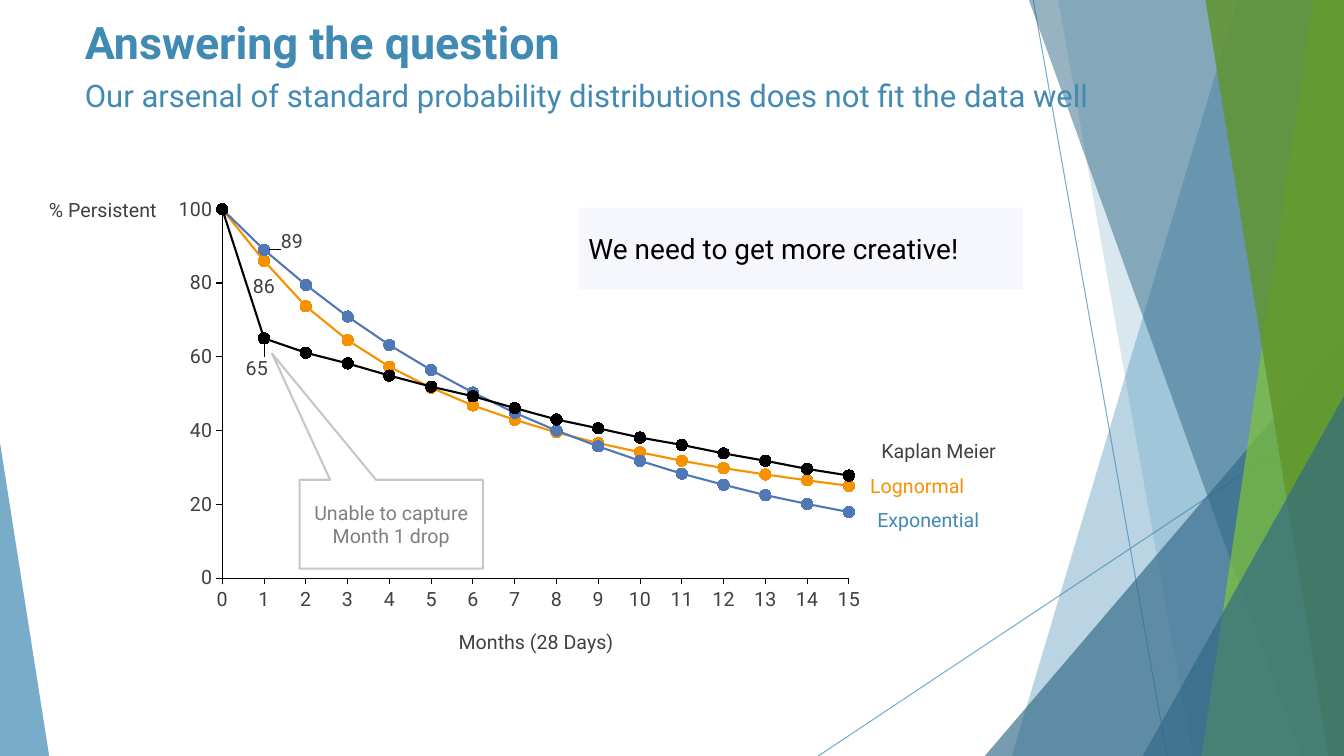
import pptx
import pptx.chart.data
import pptx.dml.color
import pptx.enum.chart
import pptx.enum.shapes
import pptx.enum.text
import pptx.oxml
import pptx.oxml.ns
import pptx.util

Cm, Pt = pptx.util.Cm, pptx.util.Pt
Form = pptx.enum.shapes.MSO_SHAPE
Align = pptx.enum.text.PP_ALIGN
Anchor = pptx.enum.text.MSO_ANCHOR
Place = pptx.enum.chart.XL_LABEL_POSITION
qn = pptx.oxml.ns.qn
WIDE, HIGH = 33.87, 19.05
FONT = "Roboto"
HUES = {
    "sky": "418AB3", "deep": "316886", "lime": "80C535", "leaf": "609428",
    "pale": "F6F7FC", "ink": "000000", "text": "404040", "mute": "808080",
    "edge": "C7C7C7", "blue": "5078B4", "gold": "F69200",
}
CURVES = [  # name, hue, values by month, label place, label shift
    ("Kaplan Meier", "ink", [100, 65, 61.1, 58.2, 54.9, 51.9, 49.3, 46.1, 43,
                             40.6, 38.1, 36.1, 33.8, 31.8, 29.6, 27.8],
     Place.BELOW, (-0.01, 0.02)),
    ("Exponential", "blue", [100, 89, 79.5, 70.9, 63.2, 56.4, 50.3, 44.8, 40,
                             35.7, 31.8, 28.3, 25.3, 22.5, 20.1, 17.9],
     Place.RIGHT, (0.01, -0.02)),
    ("Lognormal", "gold", [100, 86, 73.7, 64.5, 57.3, 51.6, 46.8, 42.9, 39.5,
                           36.6, 34.1, 31.8, 29.8, 28.1, 26.5, 25],
     Place.BELOW, (0, 0.01)),
]


def rgb(hue):
    return pptx.dml.color.RGBColor.from_string(HUES[hue])


def put(item, form):
    for key, value in form.items():
        setattr(item, key, value)


def ink(font, size, hue, bold=False):
    put(font, {"name": FONT, "size": Pt(size), "bold": bold})
    font.color.rgb = rgb(hue)


def tint(fill, hue):
    fill.solid()
    fill.fore_color.rgb = rgb(hue)


def rule(line, hue, width):
    tint(line.fill, hue)
    line.width = Pt(width)


def fade(shape, share):
    """Set the opacity, in percent, of the one colour a shape has."""
    node = shape._element.spPr.find(".//" + qn("a:srgbClr"))
    node.append(node.makeelement(qn("a:alpha"), {"val": str(share * 1000)}))


def write(shape, text, size, hue, bold=False, align=Align.LEFT, **form):
    frame = shape.text_frame
    put(frame, {"word_wrap": True, **form})
    para = frame.paragraphs[0]
    put(para, {"text": text, "alignment": align})
    ink(para.runs[0].font, size, hue, bold)
    return para


def label(slide, box, text, hue, align):
    flat = dict.fromkeys(("margin_left", "margin_top", "margin_right",
                          "margin_bottom"), 0)
    area = slide.shapes.add_textbox(*map(Cm, box))
    write(area, text, 14, hue, align=align, word_wrap=False, **flat)


def block(slide, form, box, adjust):
    shape = slide.shapes.add_shape(form, *map(Cm, box))
    shape.shadow.inherit = False
    for spot, value in enumerate(adjust):
        shape.adjustments[spot] = value
    return shape


def facets(slide, box):
    """Draw the see-through shards along both sides of the box."""
    left, top, wide, high = box
    right, base = left + wide, top + high
    for x1, y1, x2, y2 in ((26.04, 0, 29.41, high), (wide, 10.24, 20.62, high)):
        line = slide.shapes.add_connector(
            pptx.enum.shapes.MSO_CONNECTOR.STRAIGHT,
            Cm(left + x1), Cm(top + y1), Cm(left + x2), Cm(top + y2))
        rule(line.line, "sky", 0.75)
        fade(line, 70)
        props = line._element.spPr
        props.append(props.makeelement(qn("a:effectLst"), {}))

    def shard(upper, lower, hue, share):
        build = slide.shapes.build_freeform(Cm(left + upper), Cm(top))
        build.add_line_segments([(Cm(right), Cm(top)), (Cm(right), Cm(base)),
                                 (Cm(left + lower), Cm(base))])
        finish(build.convert_to_shape(), hue, share)

    def wedge(start, end, peak, apex, hue, share):
        area = (left + start, top + peak, end - start, high - peak)
        finish(block(slide, Form.ISOSCELES_TRIANGLE, area, [apex]), hue, share)

    def finish(shape, hue, share):
        shape.shadow.inherit = False
        tint(shape.fill, hue)
        fade(shape, share)
        shape.line.fill.background()

    shard(31.19, 25.5, "sky", 36)
    shard(26.67, 30.05, "sky", 20)
    wedge(24.82, wide, 8.46, 1, "deep", 66)
    shard(25.93, 32.79, "deep", 50)
    shard(33.1, 30.28, "lime", 70)
    shard(30.38, 33.48, "leaf", 80)
    wedge(28.8, wide, 9.98, 1, "deep", 66)
    wedge(0, 1.24, 11.15, 0, "sky", 70)


def heading(slide, box):
    left, top, wide, high = box
    title = slide.shapes.add_textbox(*map(Cm, (left, top, wide, 2.06)))
    write(title, "Answering the question", 32, "sky", True)
    under = slide.shapes.add_textbox(
        *map(Cm, (left, top + 1.73, 26.11, high - 1.73)))
    para = write(under, "Our arsenal of standard probability distributions "
                 "does not fit the data well", 22.2, "sky")
    para.line_spacing = 0.8


def banner(slide, box):
    shape = block(slide, Form.ROUNDED_RECTANGLE, box, [0])
    tint(shape.fill, "pale")
    shape.line.fill.background()
    write(shape, "We need to get more creative!", 20, "ink",
          vertical_anchor=Anchor.MIDDLE)


def layout(**parts):
    """Make a manual chart layout from its named values."""
    inner = "".join(f'<c:{key} val="{value}"/>' for key, value in parts.items())
    return pptx.oxml.parse_xml(
        f'<c:layout {pptx.oxml.ns.nsdecls("c")}><c:manualLayout>{inner}'
        '</c:manualLayout></c:layout>')


def leaders():
    return pptx.oxml.parse_xml(
        f'<c:extLst {pptx.oxml.ns.nsdecls("c")}>'
        '<c:ext uri="{CE6537A1-D6FC-4f65-9D91-7224C49458BB}" xmlns:c15='
        '"http://schemas.microsoft.com/office/drawing/2012/chart">'
        '<c15:showLeaderLines val="1"/></c:ext></c:extLst>')


def curve(series, hue, place, shift):
    series.smooth = False
    rule(series.format.line, hue, 1.5)
    mark = series.marker
    put(mark, {"style": pptx.enum.chart.XL_MARKER_STYLE.CIRCLE, "size": 8})
    tint(mark.format.fill, hue)
    rule(mark.format.line, hue, 0.75)
    tag = series.points[1].data_label
    ink(tag.font, 14, "text")
    tag.position = place
    group = series._element.find(qn("c:dLbls"))
    group.find(qn("c:dLbl")).insert(1, layout(x=shift[0], y=shift[1]))
    group.find(qn("c:showVal")).set("val", "0")
    group.append(leaders())


def graph(slide, box):
    left, top, wide, high = box
    data = pptx.chart.data.XyChartData()
    for name, _, values, _, _ in CURVES:
        series = data.add_series(name)
        for month, value in enumerate(values):
            series.add_data_point(month, value)
    chart = slide.shapes.add_chart(
        pptx.enum.chart.XL_CHART_TYPE.XY_SCATTER_LINES,
        *map(Cm, box), data).chart
    put(chart, {"has_legend": False, "has_title": False})
    ink(chart.font, 10, "ink")
    chart.plots[0].vary_by_categories = False
    area = chart._chartSpace.chart.plotArea
    for old in area.findall(qn("c:layout")):
        area.remove(old)
    area.insert(0, layout(layoutTarget="inner", xMode="edge", yMode="edge",
                          x=0.085, y=0.033, w=0.876, h=0.869))
    for axis, peak, step, code in (
            (chart.category_axis, 15, 1, '0;"-"0'),
            (chart.value_axis, 100, 20, '#,##0;"-"#,##0')):
        put(axis, {"minimum_scale": 0, "maximum_scale": peak,
                   "major_unit": step, "has_major_gridlines": False,
                   "major_tick_mark": pptx.enum.chart.XL_TICK_MARK.OUTSIDE})
        put(axis.tick_labels, {"number_format": code,
                               "number_format_is_linked": False})
        ink(axis.tick_labels.font, 14, "text")
        rule(axis.format.line, "ink", 0.75)
    for series, (_, hue, _, place, shift) in zip(chart.plots[0].series, CURVES):
        curve(series, hue, place, shift)
    for text, x, y, width, hue, align in (
            ("Kaplan Meier", 18.14, 6.13, 3.6, "text", Align.LEFT),
            ("% Persistent", -3.62, 0.06, 3.5, "text", Align.RIGHT),
            ("Months (28 Days)", 7.04, 10.96, 4.8, "text", Align.CENTER),
            ("Exponential", 18.04, 7.88, 3.3, "sky", Align.LEFT),
            ("Lognormal", 17.86, 7.02, 3, "gold", Align.LEFT)):
        label(slide, (left + x, top + y, width, 0.58), text, hue, align)
    note = block(slide, Form.RECTANGULAR_CALLOUT,
                 (left + 3.48, top + 7.17, 4.62, 2.24), [-0.65, -1.92])
    note.fill.background()
    rule(note.line, "edge", 1.5)
    write(note, "Unable to capture Month 1 drop", 14, "mute",
          align=Align.CENTER, vertical_anchor=Anchor.MIDDLE)


def main():
    deck = pptx.Presentation()
    put(deck, {"slide_width": Cm(WIDE), "slide_height": Cm(HIGH)})
    slide = deck.slides.add_slide(deck.slide_layouts[6])
    facets(slide, (0, 0, WIDE, HIGH))
    heading(slide, (1.89, 0.25, 28.73, 3.66))
    banner(slide, (14.58, 5.23, 11.2, 2.06))
    graph(slide, (4.07, 4.92, 18.03, 10.7))
    deck.save("out.pptx")


if __name__ == "__main__":
    main()
